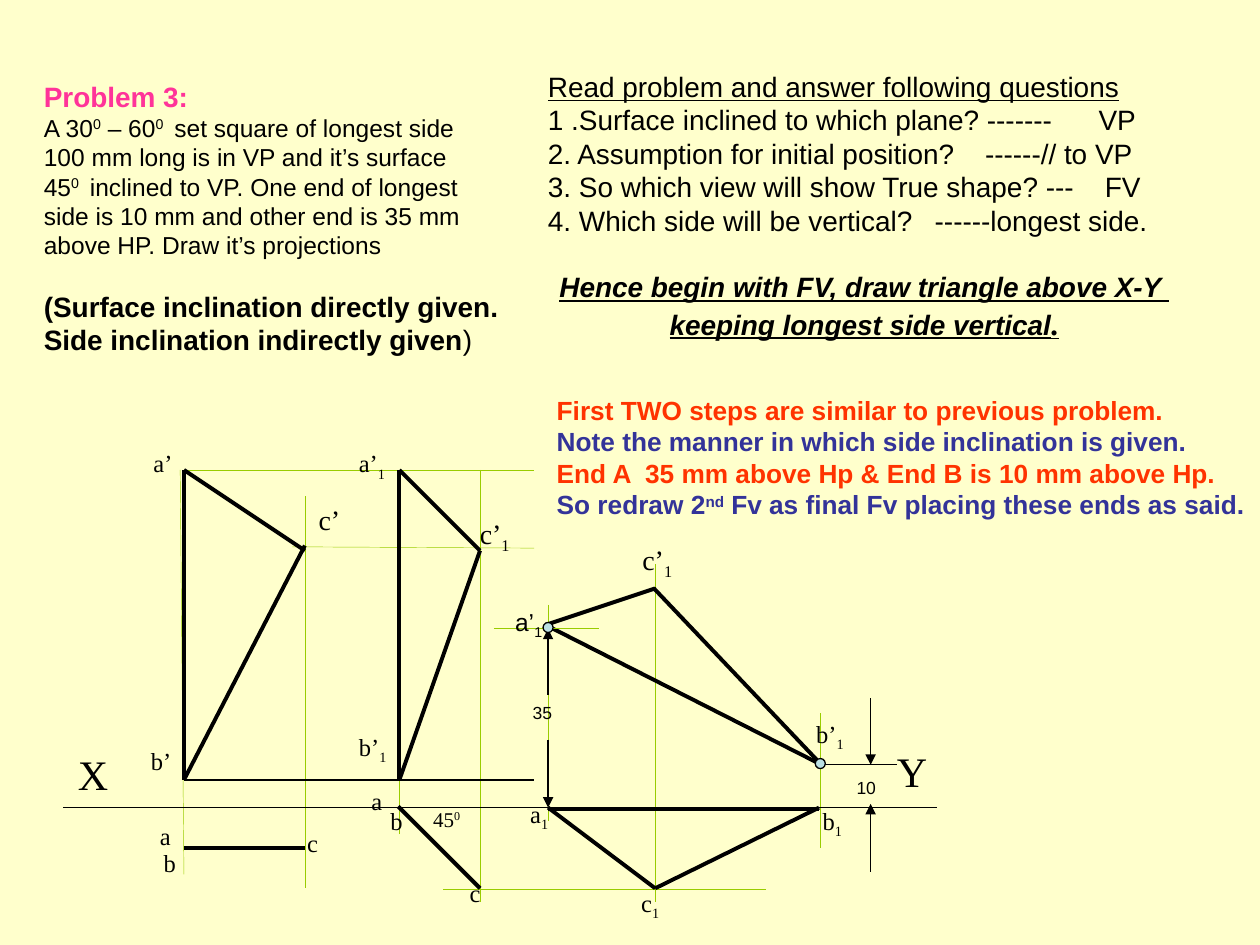
from dataclasses import dataclass
from typing import Optional

import pptx
import pptx.dml.color
import pptx.enum.shapes
import pptx.enum.text
import pptx.oxml.ns
import pptx.oxml.xmlchemy
import pptx.util

COLORS = {
    "paper": "FFFFCC", "ink": "000000", "guide": "99CC00", "marker": "BBE0E3",
    "pink": "FF3399", "red": "FF3300", "blue": "333399",
}
SERIF, SANS = "Times New Roman", "Arial"
SUBSCRIPT, SUPERSCRIPT = -25, 30
THIN, HAIR, THICK = 0.75, 0.25, 2.25

# Drafting grid: 100 columns by 75 rows over the slide
WIDTH, HEIGHT = pptx.util.Inches(10), pptx.util.Inches(7.5)
COLUMN, ROW = WIDTH / 100, HEIGHT / 75

# Columns of the projectors and rows of the levels
FIRST_A, FIRST_C = 14.6, 24.2
SECOND_A, SECOND_C = 31.7, 38.1
FINAL_A, FINAL_C, FINAL_B = 43.5, 52, 65.1
DIMENSION = 69.1
TOP, APEX, BASE, XY, FIRST_TOP_VIEW, LOW = 37.3, 43.5, 61.9, 64.1, 67.3, 70.5
FINAL_APEX, END_B = 46.7, 60.7
LABEL_WIDTH = 6  # room for the widest label on one line


@dataclass
class Line:
    x1: float
    y1: float
    x2: float
    y2: float
    weight: float = THICK
    color: str = "ink"
    arrow: str = ""  # headEnd sits at the start, tailEnd at the finish


@dataclass
class Run:
    text: str
    size: float = 14
    color: str = "ink"
    font: str = SANS
    bold: bool = False
    italic: bool = False
    underline: bool = False
    baseline: int = 0


@dataclass
class Para:
    runs: list[Run]
    before: float = 0
    centered: bool = False
    tab: Optional[float] = None  # in columns


@dataclass
class Label:
    x: float
    y: float
    height: float
    text: str
    index: str = ""
    size: float = 14
    font: str = SERIF
    shift: int = SUBSCRIPT


def rgb(name: str) -> pptx.dml.color.RGBColor:
    return pptx.dml.color.RGBColor.from_string(COLORS[name])


def at(x: float, y: float) -> tuple[int, int]:
    return round(x * COLUMN), round(y * ROW)


def draw_line(slide, line: Line) -> None:
    connector = slide.shapes.add_connector(
        pptx.enum.shapes.MSO_CONNECTOR.STRAIGHT, *at(line.x1, line.y1), *at(line.x2, line.y2))
    connector.line.width = pptx.util.Pt(line.weight)
    connector.line.color.rgb = rgb(line.color)
    properties = connector._element.spPr
    if line.arrow:
        end = pptx.oxml.xmlchemy.OxmlElement(f"a:{line.arrow}")
        end.set("type", "triangle")
        properties.find(pptx.oxml.ns.qn("a:ln")).append(end)
    properties.append(pptx.oxml.xmlchemy.OxmlElement("a:effectLst"))


def draw_text(slide, x: float, y: float, width: float, height: float,
              paras: list[Para], wrap: bool = True) -> None:
    frame = slide.shapes.add_textbox(*at(x, y), *at(width, height)).text_frame
    frame.word_wrap = wrap
    frame.auto_size = pptx.enum.text.MSO_AUTO_SIZE.SHAPE_TO_FIT_TEXT
    for number, para in enumerate(paras):
        paragraph = frame.add_paragraph() if number else frame.paragraphs[0]
        if para.tab is not None:
            tabs = pptx.oxml.xmlchemy.OxmlElement("a:tabLst")
            stop = pptx.oxml.xmlchemy.OxmlElement("a:tab")
            stop.set("pos", str(round(para.tab * COLUMN)))
            stop.set("algn", "l")
            tabs.append(stop)
            paragraph._p.get_or_add_pPr().append(tabs)
        if para.before:
            paragraph.space_before = pptx.util.Pt(para.before)
        if para.centered:
            paragraph.alignment = pptx.enum.text.PP_ALIGN.CENTER
        for item in para.runs:
            run = paragraph.add_run()
            run.text = item.text
            font = run.font
            font.size, font.name = pptx.util.Pt(item.size), item.font
            font.bold, font.italic, font.underline = item.bold, item.italic, item.underline
            font.color.rgb = rgb(item.color)
            if item.baseline:
                run._r.get_or_add_rPr().set("baseline", str(item.baseline * 1000))


def draw_label(slide, label: Label) -> None:
    runs = [Run(label.text, label.size, font=label.font)]
    if label.index:
        runs.append(Run(label.index, label.size, font=label.font, baseline=label.shift))
    draw_text(slide, label.x, label.y, LABEL_WIDTH, label.height, [Para(runs)])


def draw_marker(slide, x: float, y: float, size: float = 0.8) -> None:
    marker = slide.shapes.add_shape(
        pptx.enum.shapes.MSO_SHAPE.OVAL, *at(x - size / 2, y - size / 2), *at(size, size))
    marker.shadow.inherit = False
    marker.fill.solid()
    marker.fill.fore_color.rgb = rgb("marker")
    marker.line.color.rgb = rgb("ink")
    marker.line.width = pptx.util.Pt(THIN)


GUIDES = [Line(*ends, HAIR, "guide") for ends in [
    (SECOND_C, TOP, SECOND_C, 71.6), (FIRST_C, 39.4, FIRST_C, LOW),
    (14.3, TOP, FIRST_A, 69.4), (SECOND_A, 66.2, SECOND_A, TOP),
    (FIRST_A, TOP, 42.4, TOP), (23.2, 43.4, 42.4, APEX),
    (FINAL_A, 48, FINAL_A, 65.2), (FINAL_C, 44.8, FINAL_C, 71.6),
    (FINAL_B, 56.6, FINAL_B, FIRST_TOP_VIEW), (35.2, 70.6, 60.8, 70.6)]]
VIEWS = [
    Line(5, XY, 74.4, XY, THIN), Line(FIRST_A, BASE, 42.4, BASE, THIN),
    # First position
    Line(FIRST_A, TOP, FIRST_A, BASE), Line(FIRST_C, 43.3, FIRST_A, BASE),
    Line(FIRST_A, TOP, FIRST_C, 43.7), Line(FIRST_A, FIRST_TOP_VIEW, FIRST_C, FIRST_TOP_VIEW),
    # Second position
    Line(SECOND_A, TOP, SECOND_A, BASE), Line(SECOND_A, BASE, SECOND_C, 43.7),
    Line(SECOND_C, 43.7, SECOND_A, TOP), Line(31.6, 64, SECOND_C, LOW),
    # Final position
    Line(43.3, 49.6, 65.2, END_B), Line(65.2, END_B, 51.9, FINAL_APEX),
    Line(FINAL_C, FINAL_APEX, 43.3, 49.6), Line(FINAL_A, XY, FINAL_C, LOW),
    Line(FINAL_C, LOW, 65, XY), Line(FINAL_A, 64.2, 65, 64.2),
]
DIMENSIONS = [
    Line(FINAL_A, 58.7, FINAL_A, XY, THIN, arrow="tailEnd"),
    Line(FINAL_A, 49.9, FINAL_A, 55.2, THIN, arrow="headEnd"),
    Line(64.8, END_B, 71.2, END_B, THIN),
    Line(DIMENSION, 63.8, DIMENSION, 69.2, THIN, arrow="headEnd"),
    Line(DIMENSION, 55.4, DIMENSION, END_B, THIN, arrow="tailEnd"),
    Line(39.2, 49.9, 47.5, 49.9, THIN, "guide"),
]
LABELS = [
    Label(5.2, 58.9, 5, "X", size=24), Label(70.2, 58.7, 5, "Y", size=24),
    Label(11.2, 35.1, 3.4, "a’"), Label(11, 58.7, 3.4, "b’"),
    Label(24.3, 39.4, 3.7, "c’", size=16), Label(11.7, 64.7, 3.4, "a"),
    Label(12, 66.8, 3.4, "b"), Label(23.4, 65.2, 3.4, "c"),
    Label(27.5, 35.1, 3.7, "a’", "1"), Label(27.5, 57.6, 3.7, "b’", "1"),
    Label(37.1, 40.5, 4.1, "c’", "1", 16), Label(28.5, 61.9, 3.4, "a"),
    Label(30, 63.5, 3.4, "b"), Label(36.3, 69.2, 3.4, "c"),
    Label(33.4, 63.5, 3, "45", "0", 12, shift=SUPERSCRIPT),
    Label(39.9, 47.7, 3.7, "a’", "1", font=SANS), Label(63.8, 56.6, 3.7, "b’", "1"),
    Label(50, 42.6, 4.1, "c’", "1", 16), Label(41.1, 62.9, 3.7, "a", "1"),
    Label(64.3, 63.5, 3.7, "b", "1"), Label(49.9, 70, 3.7, "c", "1"),
    Label(41.3, 55.2, 2.7, "35", size=10, font=SANS),
    Label(67, 61.2, 2.7, "10", size=10, font=SANS),
]
PROBLEM = [
    Para([Run("Problem 3:", 16, "pink", bold=True)]),
    Para([Run("A 30"), Run("0", baseline=SUPERSCRIPT), Run(" – 60"),
          Run("0 ", baseline=SUPERSCRIPT), Run(" set square of longest side")]),
    Para([Run("100 mm long is in VP and it’s surface")]),
    Para([Run("45"), Run("0 ", baseline=SUPERSCRIPT), Run(" inclined to VP. One end of longest")]),
    Para([Run("side is 10 mm and other end is 35 mm")]),
    Para([Run("above HP. Draw it’s projections")]),
    Para([Run("(Surface inclination directly given.", 16, bold=True)], before=16.8),
    Para([Run("Side inclination indirectly given", 16, bold=True), Run(")", 16)]),
]
EMPHASIS = dict(bold=True, italic=True, underline=True)
QUESTIONS = [
    Para([Run("Read problem and answer following questions", 16, underline=True)]),
    *[Para([Run(text, 16)], tab=tab) for text, tab in [
        ("1 .Surface inclined to which plane? -------\tVP", 43.7),
        ("2. Assumption for initial position?\t------// to VP", 34.7),
        ("3. So which view will show True shape? ---\tFV", 44.2),
        ("4. Which side will be vertical?\t------longest side.", 30.7)]],
    Para([Run("Hence begin with FV, draw triangle above X-Y ", 16, **EMPHASIS)],
         before=18.8, centered=True),
    Para([Run("keeping longest side vertical", 16, **EMPHASIS),
          Run(".", 18, font=SERIF, **EMPHASIS)], centered=True),
]
HINT = dict(size=15, bold=True)
HINTS = [
    Para([Run("First TWO steps are similar to previous problem.", color="red", **HINT)]),
    Para([Run("Note the manner in which side inclination is given.", color="blue", **HINT)]),
    Para([Run("End A  35 mm above Hp & End B is 10 mm above Hp.", color="red", **HINT)]),
    Para([Run("So redraw 2", color="blue", **HINT),
          Run("nd", color="blue", baseline=SUPERSCRIPT, **HINT),
          Run(" Fv as final Fv placing these ends as said.", color="blue", **HINT)]),
]


def main() -> None:
    presentation = pptx.Presentation()
    presentation.slide_width, presentation.slide_height = WIDTH, HEIGHT
    slide = presentation.slides.add_slide(presentation.slide_layouts[6])
    slide.background.fill.solid()
    slide.background.fill.fore_color.rgb = rgb("paper")
    # Projections
    for line in GUIDES + VIEWS + DIMENSIONS:
        draw_line(slide, line)
    for label in LABELS:
        draw_label(slide, label)
    draw_marker(slide, FINAL_A, 49.8)
    draw_marker(slide, FINAL_B, 60.6)
    # Explanations
    draw_text(slide, 2.5, 5.8, 40, 23, PROBLEM)
    draw_text(slide, 42.5, 5, 52.2, 22.7, QUESTIONS)
    draw_text(slide, 43.2, 30.8, 56.8, 11, HINTS, wrap=False)
    presentation.save("out.pptx")


if __name__ == "__main__":
    main()
